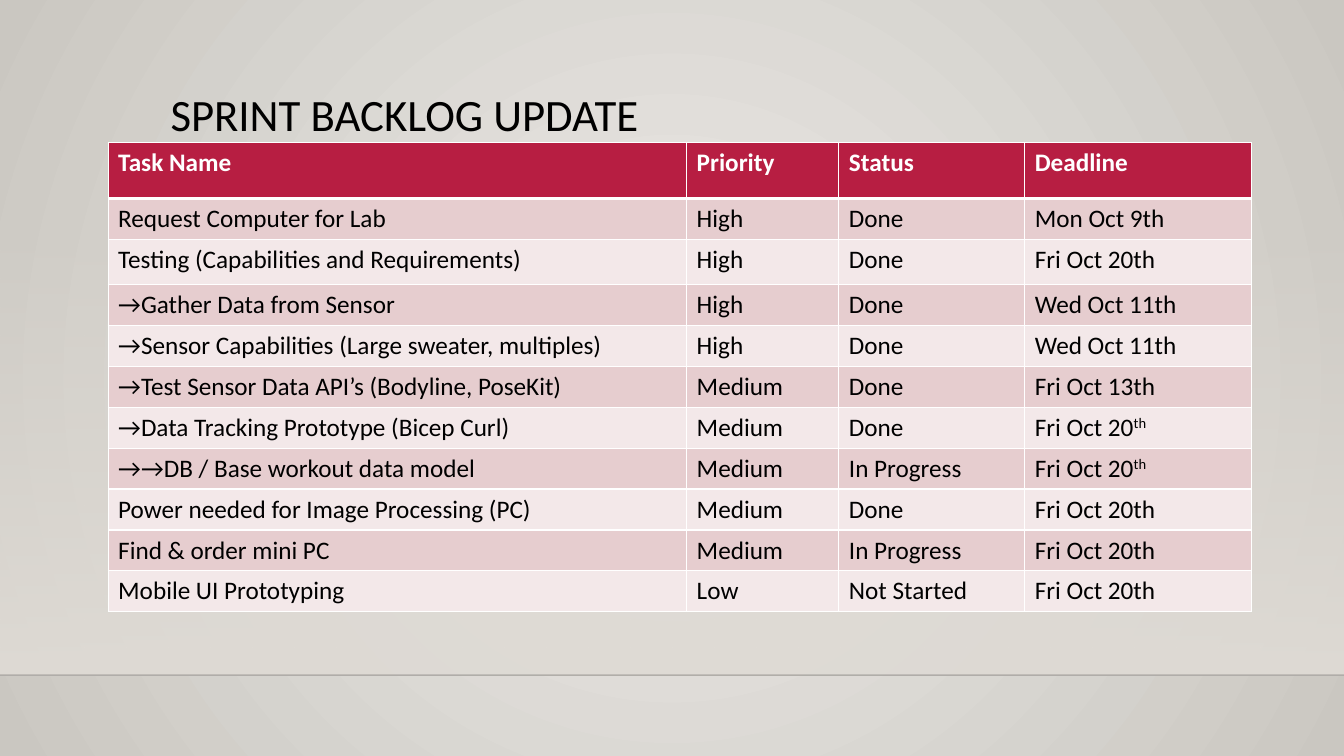
from dataclasses import dataclass

from lxml.etree import SubElement
from pptx import Presentation
from pptx.dml.color import RGBColor
from pptx.enum.shapes import MSO_CONNECTOR, MSO_SHAPE
from pptx.enum.text import MSO_ANCHOR
from pptx.oxml import parse_xml
from pptx.oxml.ns import nsdecls, qn
from pptx.util import Emu, Pt

FONT = "Calibri"
COLORS = {
    "light": "ECEAE7",
    "edge": "CAC7C1",
    "wall": "DFDBD5",
    "floor_line": "000001",
    "header": "B71E42",
    "odd": "E6CDCF",
    "even": "F3E8E9",
    "white": "FFFFFF",
    "black": "000000",
}
SLIDE_W, SLIDE_H = 1280, 720
FLOOR_Y = 643
COLUMN_WIDTHS = [551, 145, 177, 216]
HEADER_H, ROW_H, TALL_ROW_H = 53, 39, 43
HEADINGS = ["Task Name", "Priority", "Status", "Deadline"]


@dataclass
class Task:
    name: str
    priority: str
    status: str
    deadline: str  # text after ^ is superscript
    height: int = ROW_H


TASKS = [
    Task("Request Computer for Lab", "High", "Done", "Mon Oct 9th"),
    Task("Testing (Capabilities and Requirements)", "High", "Done", "Fri Oct 20th", TALL_ROW_H),
    Task("→Gather Data from Sensor", "High", "Done", "Wed Oct 11th"),
    Task("→Sensor Capabilities (Large sweater, multiples)", "High", "Done", "Wed Oct 11th"),
    Task("→Test Sensor Data API’s (Bodyline, PoseKit)", "Medium", "Done", "Fri Oct 13th"),
    Task("→Data Tracking Prototype (Bicep Curl)", "Medium", "Done", "Fri Oct 20^th"),
    Task("→→DB / Base workout data model", "Medium", "In Progress", "Fri Oct 20^th"),
    Task("Power needed for Image Processing (PC)", "Medium", "Done", "Fri Oct 20th"),
    Task("Find & order mini PC", "Medium", "In Progress", "Fri Oct 20th"),
    Task("Mobile UI Prototyping", "Low", "Not Started", "Fri Oct 20th"),
]


def px(n: int) -> Emu:
    return Emu(n * 9525)


def rgb(name: str) -> RGBColor:
    return RGBColor.from_string(COLORS[name])


def style_run(r, size: int, color: str, bold: bool = False) -> None:
    r.font.name, r.font.size, r.font.bold = FONT, Pt(size), bold
    r.font.color.rgb = rgb(color)


def set_background(slide) -> None:
    fill = slide.background.fill
    fill.gradient()
    for stop, color in zip(fill.gradient_stops, ("light", "edge")):
        stop.color.rgb = rgb(color)
    grad = slide.background._cSld.find(f".//{qn('a:gradFill')}")
    grad.replace(grad.find(qn("a:lin")), parse_xml(
        f'<a:path {nsdecls("a")} path="circle">'
        '<a:fillToRect l="50000" t="50000" r="50000" b="50000"/></a:path>'))


def set_alpha(color_element, percent: int) -> None:
    SubElement(color_element, qn("a:alpha")).set("val", str(percent * 1000))


def add_wall(slide, top: int) -> None:
    s = slide.shapes.add_shape(MSO_SHAPE.RECTANGLE, 0, px(top), px(SLIDE_W), px(FLOOR_Y - top))
    s.shadow.inherit = False
    s.line.fill.background()
    s.fill.gradient()
    for stop in s.fill.gradient_stops:
        stop.color.rgb = rgb("wall")
    s.fill.gradient_angle = 270
    set_alpha(s._element.spPr.find(f".//{qn('a:srgbClr')}"), 0)


def add_floor_line(slide) -> None:
    s = slide.shapes.add_connector(
        MSO_CONNECTOR.STRAIGHT, 0, px(FLOOR_Y), px(SLIDE_W), px(FLOOR_Y))
    s.line.width = Pt(1)
    s.line.color.rgb = rgb("floor_line")
    sp_pr = s._element.spPr
    set_alpha(sp_pr.find(f".//{qn('a:srgbClr')}"), 20)
    SubElement(sp_pr, qn("a:effectLst"))


def add_title(slide, text: str) -> None:
    s = slide.shapes.add_textbox(px(153), px(84), px(1008), px(110))
    tf = s.text_frame
    tf.word_wrap = True
    tf.vertical_anchor = MSO_ANCHOR.TOP
    tf.text = text
    p = tf.paragraphs[0]
    p.line_spacing = 0.9
    style_run(p.runs[0], 32, "black")


def set_borders(cell, top: int = 1, bottom: int = 1) -> None:
    tc_pr = cell._tc.get_or_add_tcPr()
    for i, (side, width) in enumerate({"L": 1, "R": 1, "T": top, "B": bottom}.items()):
        tc_pr.insert(i, parse_xml(
            f'<a:ln{side} {nsdecls("a")} w="{Pt(width)}"><a:solidFill>'
            f'<a:srgbClr val="{COLORS["white"]}"/></a:solidFill></a:ln{side}>'))


def fill_cell(cell, text: str, row: int) -> None:
    is_header = row == 0
    cell.fill.solid()
    cell.fill.fore_color.rgb = rgb("header" if is_header else "odd" if row % 2 else "even")
    set_borders(cell, top=3 if row == 1 else 1, bottom=3 if is_header else 1)
    p = cell.text_frame.paragraphs[0]
    for i, part in enumerate(text.split("^")):
        r = p.add_run()
        r.text = part
        style_run(r, 18, "white" if is_header else "black", is_header)
        if i:
            r._r.get_or_add_rPr().set("baseline", "30000")


def add_backlog(slide, tasks: list[Task]) -> None:
    heights = [HEADER_H] + [t.height for t in tasks]
    rows = [HEADINGS] + [[t.name, t.priority, t.status, t.deadline] for t in tasks]
    table = slide.shapes.add_table(
        len(rows), len(HEADINGS), px(103), px(136),
        px(sum(COLUMN_WIDTHS)), px(sum(heights))).table
    for column, width in zip(table.columns, COLUMN_WIDTHS):
        column.width = px(width)
    for i, (texts, height) in enumerate(zip(rows, heights)):
        table.rows[i].height = px(height)
        for j, text in enumerate(texts):
            fill_cell(table.cell(i, j), text, i)


def main() -> None:
    prs = Presentation()
    prs.slide_width, prs.slide_height = px(SLIDE_W), px(SLIDE_H)
    slide = prs.slides.add_slide(prs.slide_layouts[6])

    # Backdrop
    set_background(slide)
    add_wall(slide, top=212)
    add_floor_line(slide)

    # Content
    add_title(slide, "SPRINT BACKLOG UPDATE")
    add_backlog(slide, TASKS)
    prs.save("out.pptx")


if __name__ == "__main__":
    main()
